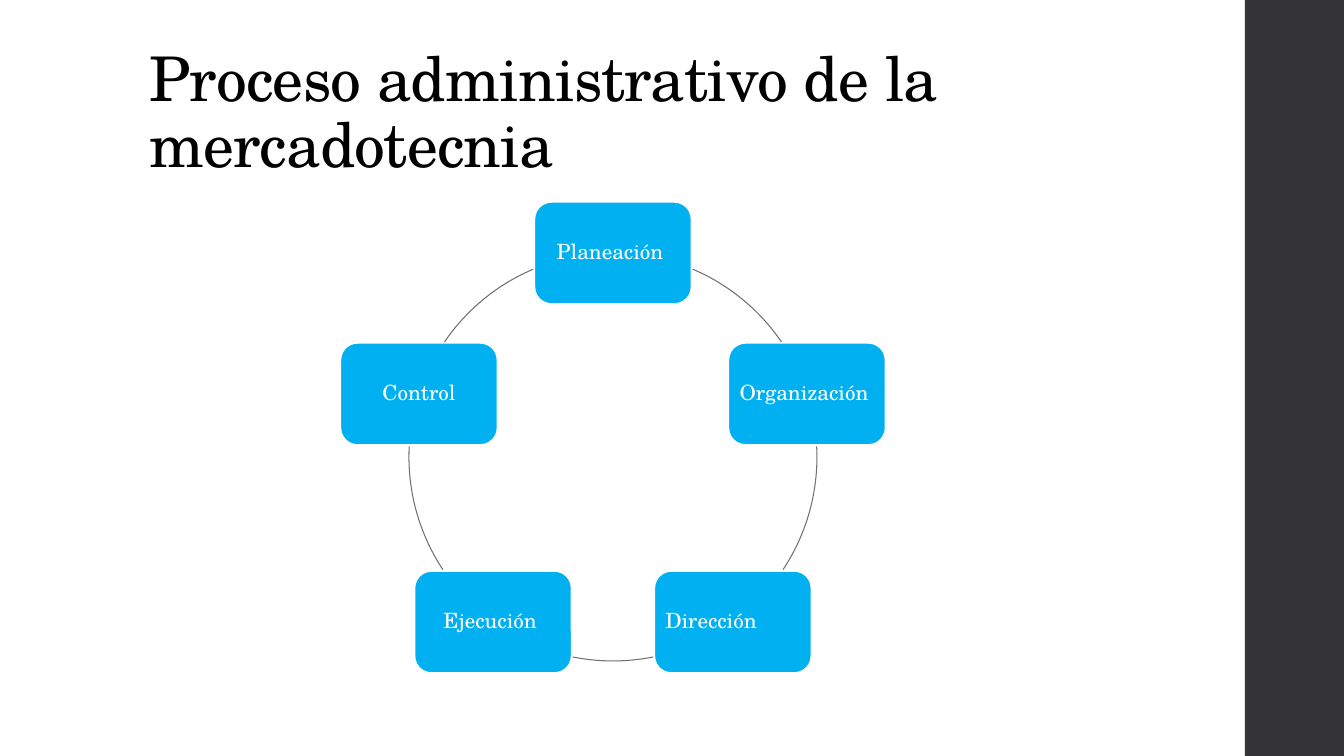
"""Build the slide on the five-step cycle of marketing management."""
import math
from dataclasses import dataclass

from pptx import Presentation, util as u
from pptx.dml.color import RGBColor
from pptx.enum import shapes, text

TITLE = "Proceso administrativo de la mercadotecnia"
STEPS = [
    ("Planeación ", text.PP_ALIGN.CENTER),
    ("Organización ", text.PP_ALIGN.CENTER),
    ("Dirección", text.PP_ALIGN.LEFT),
    ("Ejecución ", text.PP_ALIGN.CENTER),
    ("Control", text.PP_ALIGN.CENTER),
]
ARC_ANGLES = [(293, 325.7), (357, 33.5), (78.6, 101.4), (146.5, 183), (214.3, 247)]

SLIDE_SIZE = (1344, 756)
SIDEBAR_BOX = (1245, 0, 99, 756)
TITLE_BOX = (139, 40, 1068, 146)
CENTER_X, CENTER_Y, RADIUS = 613, 457, 204
STEP_WIDTH, STEP_HEIGHT, STEP_INSET = 157, 102, 6


@dataclass(frozen=True)
class Theme:
    font: str = "TeX Gyre Schola"
    title_size: float = 44
    step_size: float = 15
    ink: str = "000000"
    paper: str = "FFFFFF"
    sidebar: str = "353537"
    step: str = "00B0F0"
    arc: str = "6F6F74"


THEME = Theme()


def px(length):
    return u.Emu(round(length * 914400 / 100.8))


def color(value):
    return RGBColor.from_string(value)


def write(shape, words, *, size, ink, align, anchor, inset=None, tracking=None):
    frame = shape.text_frame
    frame.word_wrap = True
    frame.auto_size = text.MSO_AUTO_SIZE.NONE
    frame.vertical_anchor = anchor
    if inset is not None:
        frame.margin_left = frame.margin_right = px(inset)
        frame.margin_top = frame.margin_bottom = px(inset)
    paragraph = frame.paragraphs[0]
    paragraph.alignment = align
    paragraph.line_spacing = 0.9
    run = paragraph.add_run()
    run.text = words
    run.font.name = THEME.font
    run.font.size = u.Pt(size)
    run.font.color.rgb = color(ink)
    if tracking is not None:
        run.font._element.set("spc", str(round(tracking * 100)))


def add_shape(slide, kind, box, *, fill=None, line=None, weight=1):
    shape = slide.shapes.add_shape(kind, *map(px, box))
    shape.shadow.inherit = False
    if fill:
        shape.fill.solid()
        shape.fill.fore_color.rgb = color(fill)
    else:
        shape.fill.background()
    if line:
        shape.line.color.rgb = color(line)
        shape.line.width = u.Pt(weight)
    else:
        shape.line.fill.background()
    return shape


def add_cycle(slide):
    ring = (CENTER_X - RADIUS, CENTER_Y - RADIUS, 2 * RADIUS, 2 * RADIUS)
    for index, ((words, align), angles) in enumerate(zip(STEPS, ARC_ANGLES)):
        turn = 2 * math.pi * index / len(STEPS)
        left = CENTER_X + RADIUS * math.sin(turn) - STEP_WIDTH / 2
        top = CENTER_Y - RADIUS * math.cos(turn) - STEP_HEIGHT / 2
        step = add_shape(slide, shapes.MSO_SHAPE.ROUNDED_RECTANGLE,
                         (left, top, STEP_WIDTH, STEP_HEIGHT),
                         fill=THEME.step, line=THEME.paper, weight=1.1)
        write(step, words, size=THEME.step_size, ink=THEME.paper, align=align,
              anchor=text.MSO_ANCHOR.MIDDLE, inset=STEP_INSET)
        arc = add_shape(slide, shapes.MSO_SHAPE.ARC, ring, line=THEME.arc, weight=0.75)
        for position, degrees in enumerate(angles):
            arc.adjustments[position] = degrees * 0.6


def main():
    presentation = Presentation()
    presentation.slide_width, presentation.slide_height = map(px, SLIDE_SIZE)
    slide = presentation.slides.add_slide(presentation.slide_layouts[5])
    slide.background.fill.solid()
    slide.background.fill.fore_color.rgb = color(THEME.paper)
    add_shape(slide, shapes.MSO_SHAPE.RECTANGLE, SIDEBAR_BOX, fill=THEME.sidebar)
    title = slide.shapes.title
    title.left, title.top, title.width, title.height = map(px, TITLE_BOX)
    write(title, TITLE, size=THEME.title_size, ink=THEME.ink, align=text.PP_ALIGN.LEFT,
          anchor=text.MSO_ANCHOR.BOTTOM, tracking=-0.5)
    add_cycle(slide)
    presentation.save("out.pptx")


if __name__ == "__main__":
    main()
